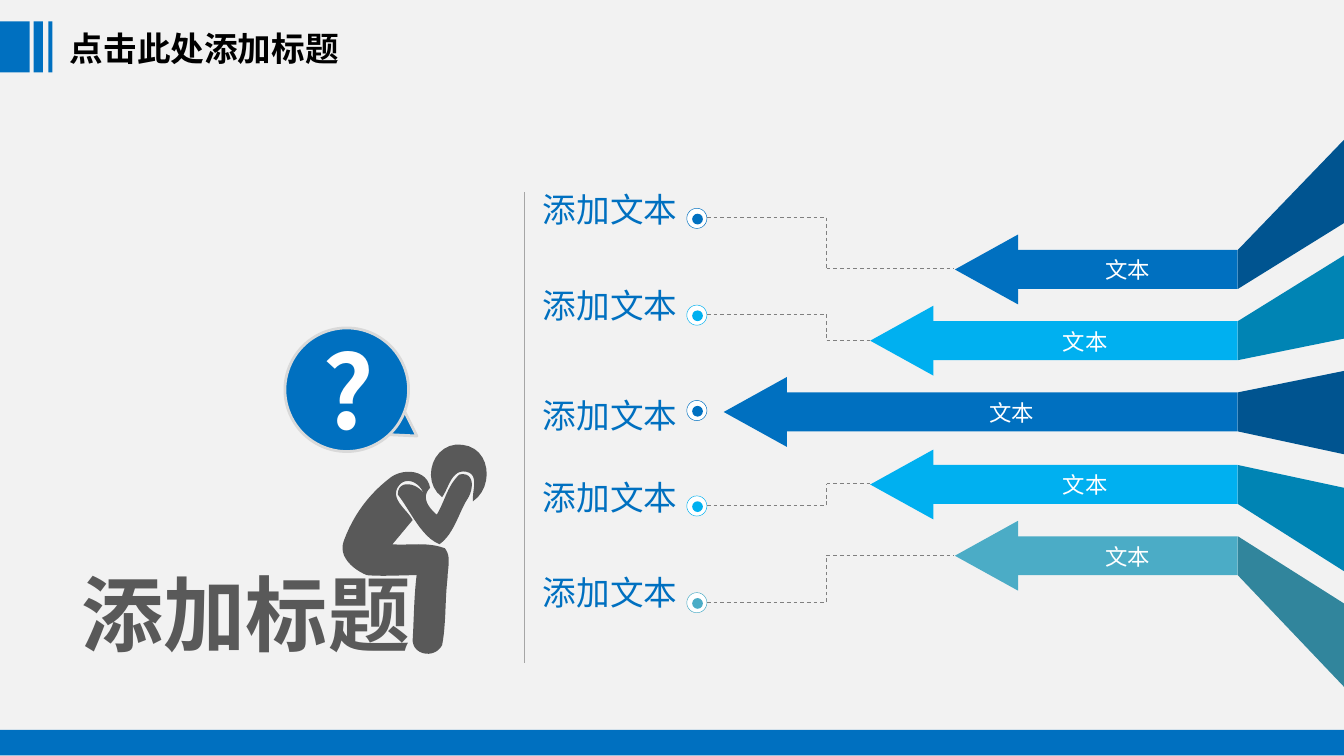
from lxml import etree
from pptx import Presentation
from pptx import util as u
from pptx.dml.color import RGBColor
from pptx.enum import dml, shapes, text
from pptx.oxml.ns import qn

PX = u.Inches(1) // 100
COLORS = {
    "paper": "F2F2F2", "black": "000000", "white": "FFFFFF",
    "blue": "0070C0", "sky": "00B0F0", "teal": "4BACC6",
    "dark blue": "005490", "dark sky": "0084B4", "dark teal": "31859C",
    "figure": "595959", "rim": "D9D9D9", "divider": "A6A6A6", "dash": "808080",
}
RECT = shapes.MSO_SHAPE.RECTANGLE
OVAL = shapes.MSO_SHAPE.OVAL
TRIANGLE = shapes.MSO_SHAPE.ISOSCELES_TRIANGLE
ALIGN = text.PP_ALIGN

deck = Presentation()
deck.slide_width = 1000 * PX
deck.slide_height = deck.slide_width * 9 // 16
page = deck.slides.add_slide(deck.slide_layouts[6])
page.background.fill.solid()
page.background.fill.fore_color.rgb = RGBColor.from_string(COLORS["paper"])


def paint(shape, fill, line=None, weight=0.25, rotation=0):
    shape.shadow.inherit = False
    shape.rotation = rotation
    shape.fill.solid()
    shape.fill.fore_color.rgb = RGBColor.from_string(COLORS[fill])
    if line:
        shape.line.color.rgb = RGBColor.from_string(COLORS[line])
        shape.line.width = u.Pt(weight)
    else:
        shape.line.fill.background()


def write(words, place, size, font, color, align=ALIGN.LEFT, bold=False,
          inset=(5, 5), wrap=True, before=0):
    box = page.shapes.add_textbox(*[v * PX for v in place])
    frame = box.text_frame
    frame.word_wrap = wrap
    frame.auto_size = text.MSO_AUTO_SIZE.SHAPE_TO_FIT_TEXT
    frame.margin_left = frame.margin_right = inset[0] * PX
    frame.margin_top = frame.margin_bottom = inset[1] * PX
    para = frame.paragraphs[0]
    para.text = words
    para.alignment = align
    para.space_before = u.Pt(before)
    para.font.size = u.Pt(size)
    para.font.name = font
    para.font.bold = bold
    para.font.color.rgb = RGBColor.from_string(COLORS[color])


write("点击此处添加标题", (45, 17, 217, 38), 18, "Arial", "black",
      bold=True, inset=(7, 4))
for place in [(0, 16, 22, 38), (25, 16, 7, 38), (36, 16, 3, 38), (0, 543, 1000, 19)]:
    paint(page.shapes.add_shape(RECT, *[v * PX for v in place]), "blue")

rows = [
    ("blue", "dark blue", 757, 136, "Arial"),
    ("sky", "dark sky", 694, 207, "Roboto Condensed"),
    ("blue", "dark blue", 585, 289, "Roboto Condensed"),
    ("sky", "dark sky", 694, 350, "Roboto Condensed"),
    ("teal", "dark teal", 757, 421, "Roboto Condensed"),
]
tail, elbow = 921, 615
outlines = []
lines = [((390, 493), (390, 143), "divider", 0.25)]

for i, (color, shade, left, label_top, font) in enumerate(rows):
    top = round(186 + 53.25 * i)
    fan_top = round(104 + 86.25 * i)
    dot_y = round(162 + 71.5 * i)
    outlines.append((shade, [(1000, fan_top), (tail, top),
                             (tail, top + 29), (1000, fan_top + 62)]))

    head = page.shapes.add_shape(TRIANGLE, (left - 49) * PX, (top - 9) * PX, 52 * PX, 47 * PX)
    paint(head, color, rotation=270)
    bar = page.shapes.add_shape(RECT, left * PX, top * PX, (tail - left) * PX, 29 * PX)
    paint(bar, color)
    write("文本", (left, top, tail - left, 30), 12, "Roboto Condensed",
          "white", ALIGN.CENTER)
    write("添加文本", (288, label_top, 221, 40), 18, font, "blue", ALIGN.RIGHT, before=2)

    ring = page.shapes.add_shape(OVAL, 511 * PX, (dot_y - 7) * PX, 15 * PX, 15 * PX)
    paint(ring, "white", color)
    dot = page.shapes.add_shape(OVAL, 515 * PX, (dot_y - 3) * PX, 8 * PX, 8 * PX)
    paint(dot, color)
    if i != 2:
        tip = (left - 47, top + 14)
        corners = [(526, dot_y), (elbow, dot_y), (elbow, tip[1]), tip]
        lines += [(a, b, "dash", 0.5) for a, b in zip(corners, corners[1:])]

for start, end, color, weight in lines:
    line = page.shapes.add_connector(shapes.MSO_CONNECTOR.STRAIGHT,
                                     *[v * PX for v in start + end])
    line.line.color.rgb = RGBColor.from_string(COLORS[color])
    line.line.width = u.Pt(weight)
    if color == "dash":
        line.line.dash_style = dml.MSO_LINE.DASH
    etree.SubElement(line._element.spPr, qn("a:effectLst"))

hair = [
    (352, 373),
    (368, 362), (365, 333), (344, 331), (323, 328), (312, 357), (329, 370),
    (334, 363), (336, 349), (347, 351), (357, 353), (351, 366), (352, 373),
]
body = [
    (320, 363),
    (318, 350), (301, 348), (291, 355), (275, 367), (263, 383), (256, 402),
    (251, 414), (263, 424), (273, 428), (285, 429), (298, 428), (310, 428),
    (308, 444), (308, 461), (307, 477), (308, 488), (324, 490), (329, 480),
    (332, 464), (331, 447), (333, 430), (333, 423), (336, 414), (331, 408),
    (318, 403), (305, 406), (292, 405), (297, 399), (302, 393), (307, 387),
    (303, 379), (289, 371), (297, 361), (303, 354), (313, 360), (315, 367),
    (311, 360), (296, 356), (296, 368), (306, 381), (313, 399), (327, 405),
    (338, 397), (341, 382), (348, 371), (352, 365), (354, 351), (342, 353),
    (333, 361), (331, 373), (325, 383), (319, 378), (313, 370), (320, 363),
]
for curve in (hair, body):
    points = [curve[0]]
    for k in range(0, len(curve) - 1, 3):
        a, b, c, d = curve[k:k + 4]
        for step in range(1, 13):
            t = step / 12
            s = 1 - t
            points.append(tuple(
                s**3 * a[n] + 3 * s * s * t * b[n] + 3 * s * t * t * c[n] + t**3 * d[n]
                for n in (0, 1)))
    outlines.append(("figure", points))

for color, points in outlines:
    spots = [(x * PX, y * PX) for x, y in points]
    builder = page.shapes.build_freeform(*spots[0], scale=1.0)
    builder.add_line_segments(spots[1:], close=True)
    paint(builder.convert_to_shape(), color)

write("添加标题", (51, 414, 267, 84), 44, "Arial Narrow", "figure",
      bold=True, inset=(10, 5), wrap=False)
for kind, place in [(TRIANGLE, (281, 302, 34, 29)), (OVAL, (212, 244, 92, 92))]:
    bubble = page.shapes.add_shape(kind, *[v * PX for v in place])
    paint(bubble, "blue", "rim", 1.5, 123.1)
write("?", (230, 240, 56, 101), 54, "Noto Sans CJK SC", "white",
      bold=True, inset=(10, 5), wrap=False)

deck.save("out.pptx")
